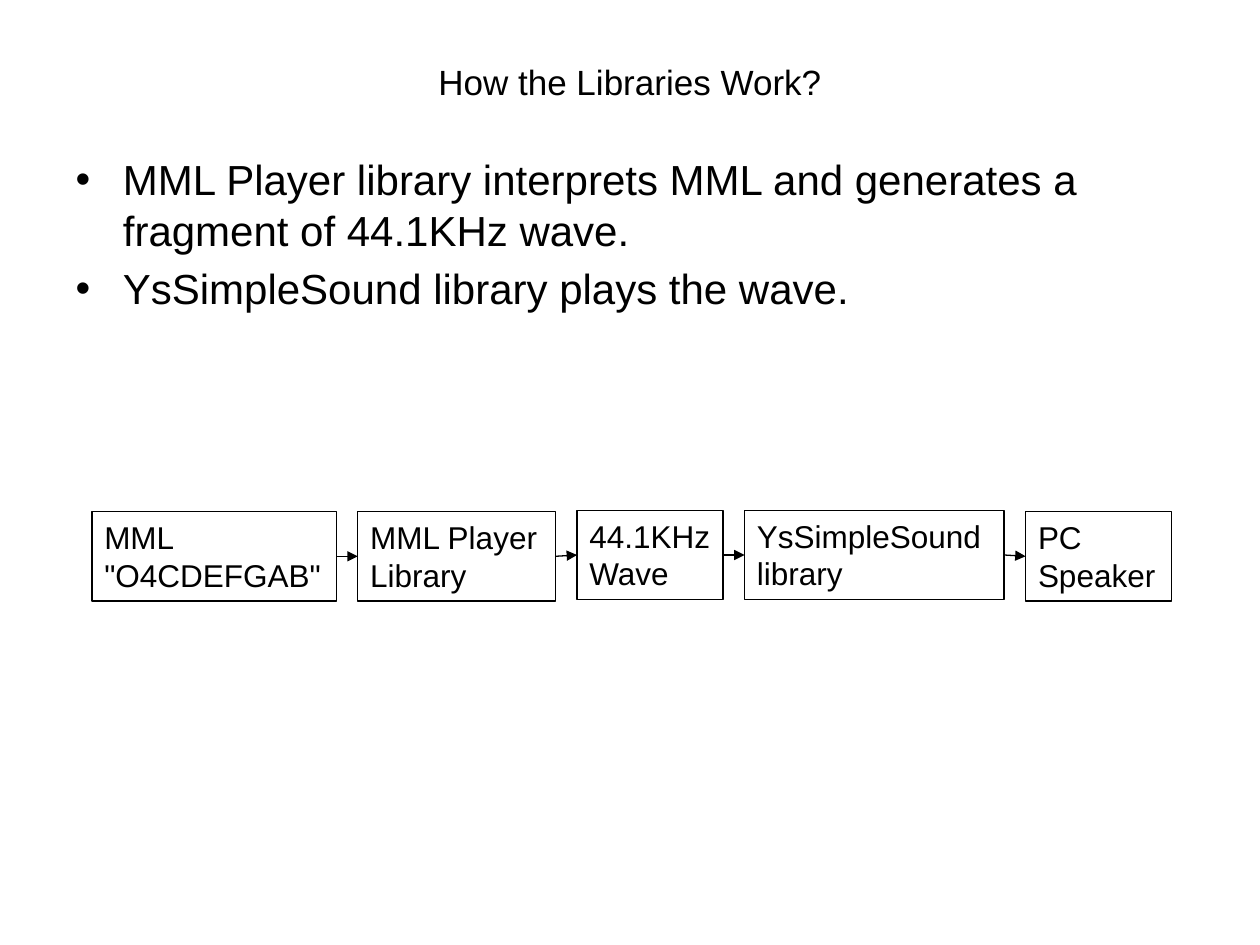
from itertools import pairwise

from lxml import etree
from pptx import Presentation
from pptx import util as u
from pptx.dml.color import RGBColor
from pptx.enum import shapes, text
from pptx.oxml.ns import qn

COLORS = {"ink": "000000", "paper": "FFFFFF"}
FONT = "Arial"
MARGIN = 0.05  # share of the slide width
LINE_WIDTH = u.Pt(0.75)
LEFT, RIGHT = 1, 3  # connection sites of a rectangle

BULLETS = [
    "MML Player library interprets MML and generates a fragment of 44.1KHz wave.",
    "YsSimpleSound library plays the wave.",
]

# Flow boxes: label, width and top in inches; \v is a line break
FLOW_LEFT, FLOW_GAP, FLOW_HEIGHT = 0.73, 0.17, 0.71
FLOW = [
    ('MML\v"O4CDEFGAB"', 1.94, 4.06),
    ("MML Player Library", 1.57, 4.06),
    ("44.1KHz Wave", 1.16, 4.05),
    ("YsSimpleSound library", 2.06, 4.05),
    ("PC Speaker", 1.16, 4.06),
]


def color(name):
    return RGBColor.from_string(COLORS[name])


def style_paragraphs(text_frame, size, alignment):
    for paragraph in text_frame.paragraphs:
        paragraph.alignment = alignment
        paragraph.font.name = FONT
        paragraph.font.size = u.Pt(size)
        paragraph.font.color.rgb = color("ink")


def fill_placeholder(presentation, placeholder, lines, top, height, size, alignment):
    width = presentation.slide_width
    placeholder.left, placeholder.width = int(width * MARGIN), int(width * (1 - 2 * MARGIN))
    placeholder.top, placeholder.height = u.Inches(top), u.Inches(height)
    placeholder.text_frame.text = "\n".join(lines)
    placeholder.text_frame.auto_size = text.MSO_AUTO_SIZE.NONE
    style_paragraphs(placeholder.text_frame, size, alignment)


def add_box(slide, label, left, top, width):
    box = slide.shapes.add_shape(
        shapes.MSO_SHAPE.RECTANGLE, *map(u.Inches, (left, top, width, FLOW_HEIGHT)))
    box.shadow.inherit = False
    box.fill.background()
    box.line.color.rgb = color("ink")
    box.line.width = LINE_WIDTH
    frame = box.text_frame
    frame.text = label
    frame.word_wrap = "\v" not in label
    frame.auto_size = text.MSO_AUTO_SIZE.SHAPE_TO_FIT_TEXT
    frame.vertical_anchor = text.MSO_ANCHOR.TOP
    style_paragraphs(frame, 18, text.PP_ALIGN.LEFT)
    return box


def add_arrow(slide, source, target):
    arrow = slide.shapes.add_connector(shapes.MSO_CONNECTOR.STRAIGHT, 0, 0, 0, 0)
    arrow.begin_connect(source, RIGHT)
    arrow.end_connect(target, LEFT)
    arrow.line.color.rgb = color("ink")
    arrow.line.width = LINE_WIDTH
    etree.SubElement(arrow.line._get_or_add_ln(), qn("a:tailEnd"), type="triangle")
    etree.SubElement(arrow._element.spPr, qn("a:effectLst"))


def add_flow(slide):
    boxes, left = [], FLOW_LEFT
    for label, width, top in FLOW:
        boxes.append(add_box(slide, label, left, top, width))
        left += width + FLOW_GAP
    for source, target in pairwise(boxes):
        add_arrow(slide, source, target)


def main():
    presentation = Presentation()
    presentation.slide_width, presentation.slide_height = u.Inches(10), u.Inches(7.5)
    slide = presentation.slides.add_slide(presentation.slide_layouts[1])
    slide.background.fill.solid()
    slide.background.fill.fore_color.rgb = color("paper")

    # Title and bullet list
    fill_placeholder(presentation, slide.shapes.title, ["How the Libraries Work?"],
                     0.3, 0.7, 20, text.PP_ALIGN.CENTER)
    fill_placeholder(presentation, slide.placeholders[1], BULLETS,
                     1.17, 1.33, 24, text.PP_ALIGN.LEFT)

    # Flow from music text to speaker
    add_flow(slide)
    presentation.save("out.pptx")


if __name__ == "__main__":
    main()
